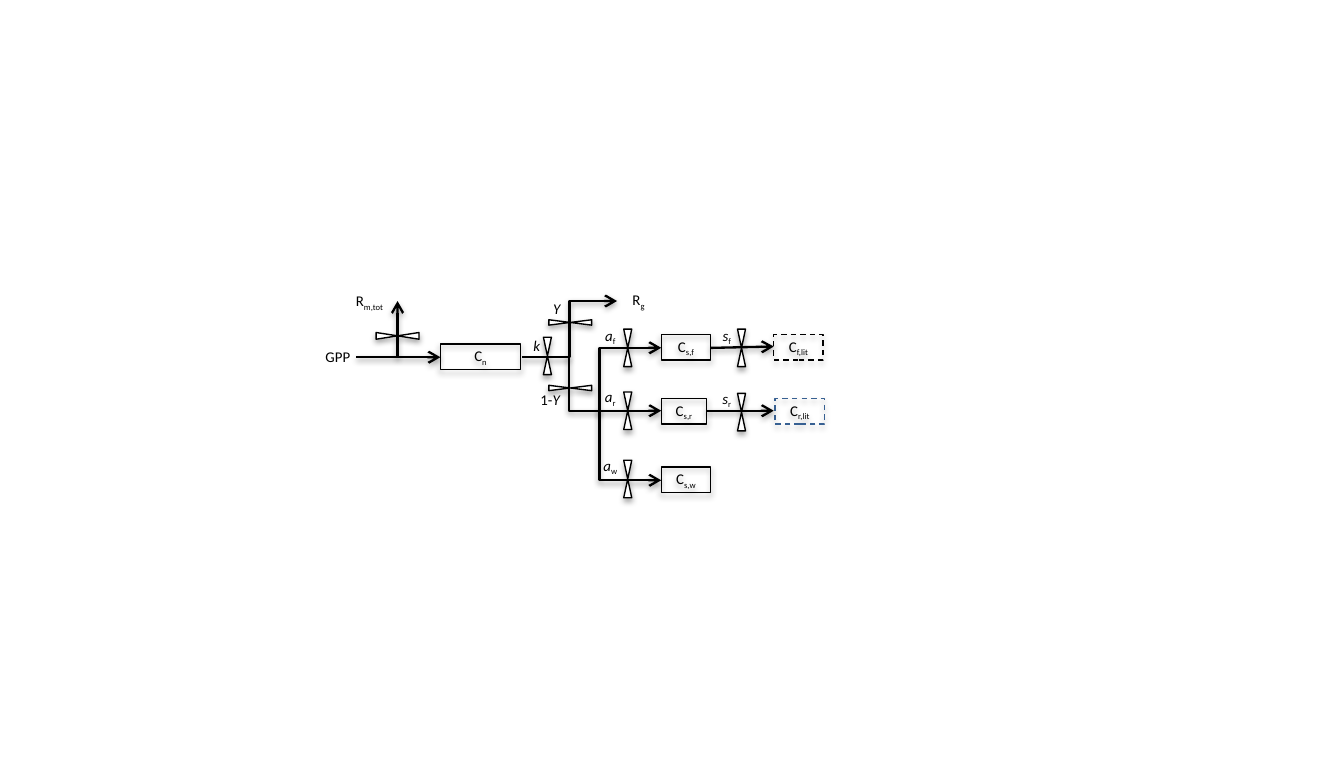
import pptx
import pptx.dml.color
import pptx.enum.dml
import pptx.enum.shapes
import pptx.enum.text
import pptx.oxml
import pptx.oxml.ns
import pptx.util

Inches = pptx.util.Inches
Pt = pptx.util.Pt
SHAPES = pptx.enum.shapes.MSO_SHAPE
CONNECTORS = pptx.enum.shapes.MSO_CONNECTOR
BLACK = "000000"
BLUE = "376092"
POOL_HEIGHT = 0.19


def color(hex_code):
    return pptx.dml.color.RGBColor.from_string(hex_code)


def element(tag, **attributes):
    node = pptx.oxml.parse_xml(f"<a:{tag} {pptx.oxml.ns.nsdecls('a')}/>")
    for key, value in attributes.items():
        node.set(key, str(value))
    return node


def add_shadow(effects, opacity, distance):
    shadow = element("outerShdw", blurRad=Pt(3.1), dist=Pt(distance),
                     dir=5400000, rotWithShape=0)
    tint = element("srgbClr", val=BLACK)
    tint.append(element("alpha", val=opacity * 1000))
    shadow.append(tint)
    effects.append(shadow)


def write(frame, base, subscript="", base_italic=False, subscript_italic=False,
          lowered=True):
    frame.margin_left = frame.margin_right = 0
    frame.margin_top = frame.margin_bottom = 0
    frame.word_wrap = True
    frame.vertical_anchor = pptx.enum.text.MSO_ANCHOR.MIDDLE
    paragraph = frame.paragraphs[0]
    paragraph.alignment = pptx.enum.text.PP_ALIGN.CENTER
    paragraph.font.name = "Calibri"
    paragraph.font.size = Pt(8)
    paragraph.font.color.rgb = color(BLACK)
    symbol = paragraph.add_run()
    symbol.text = base
    symbol.font.italic = base_italic
    if subscript:
        index = paragraph.add_run()
        index.text = subscript
        index.font.italic = subscript_italic
        if lowered:
            index.font._element.set("baseline", "-25000")


def add_label(slide, left, top, width, height, base, *args, **styles):
    label = slide.shapes.add_textbox(Inches(left), Inches(top),
                                     Inches(width), Inches(height))
    write(label.text_frame, base, *args, **styles)


def add_outlined(slide, kind, left, top, width, height, line_color=BLACK):
    outlined = slide.shapes.add_shape(kind, Inches(left), Inches(top),
                                      Inches(width), Inches(height))
    outlined.line.color.rgb = color(line_color)
    outlined.line.width = Pt(0.75)
    outlined.shadow.inherit = False
    add_shadow(outlined._element.spPr.find(pptx.oxml.ns.qn("a:effectLst")), 35, 1.8)
    return outlined


def add_pool(slide, left, top, width, subscript, line_color=BLACK, dashed=False):
    pool = add_outlined(slide, SHAPES.RECTANGLE, left, top, width, POOL_HEIGHT, line_color)
    pool.fill.background()
    if dashed:
        pool.line.dash_style = pptx.enum.dml.MSO_LINE.DASH
    write(pool.text_frame, "C", subscript)


def add_valve(slide, center_x, center_y, width=0.06, height=0.28, rotation=0):
    valve = add_outlined(slide, SHAPES.FLOWCHART_COLLATE, center_x - width / 2,
                         center_y - height / 2, width, height)
    valve.fill.solid()
    valve.fill.fore_color.rgb = color("FFFFFF")
    valve.rotation = rotation


def add_flow(slide, start, end, bend=None):
    kind = CONNECTORS.STRAIGHT if bend is None else CONNECTORS.ELBOW
    flow = slide.shapes.add_connector(kind, *map(Inches, start + end))
    flow.line.color.rgb = color(BLACK)
    flow.line.width = Pt(1.25)
    flow.line._get_or_add_ln().append(element("tailEnd", type="arrow"))
    properties = flow._element.spPr
    if bend is not None:
        adjustments = properties.find(".//" + pptx.oxml.ns.qn("a:avLst"))
        adjustments.append(element("gd", name="adj1", fmla=f"val {round(bend * 100000)}"))
    effects = element("effectLst")
    properties.append(effects)
    add_shadow(effects, 38, 1.6)


def main():
    deck = pptx.Presentation()
    deck.slide_width = Inches(10.04)
    deck.slide_height = Inches(5.71)
    slide = deck.slides.add_slide(deck.slide_layouts[6])

    add_pool(slide, 3.29, 2.57, 0.6, "n")
    for subscript, left, top, width, line_color, dashed in (
            ("s,r", 4.94, 2.98, 0.34, BLACK, False),
            ("s,f", 4.94, 2.5, 0.37, BLACK, False),
            ("s,w", 4.94, 3.49, 0.37, BLACK, False),
            ("f,lit", 5.78, 2.5, 0.37, BLACK, True),
            ("r,lit", 5.79, 2.98, 0.37, BLUE, True)):
        add_pool(slide, left, top, width, subscript, line_color, dashed)

    for start, end, bend in (
            ((2.66, 2.67), (3.29, 2.67), None),
            ((2.97, 2.67), (2.97, 2.25), None),
            ((4.48, 3.06), (4.94, 3.59), 0),
            ((4.48, 3.1), (4.94, 2.6), 0),
            ((5.31, 2.6), (5.78, 2.59), None),
            ((4.23, 2.67), (4.94, 3.07), 0.03),
            ((3.9, 2.67), (4.61, 2.25), 0.5),
            ((5.28, 3.07), (5.78, 3.07), None)):
        add_flow(slide, start, end, bend)

    for center in ((4.09, 2.66), (4.69, 2.6), (4.69, 3.07), (4.69, 3.58),
                   (5.54, 2.6), (5.54, 3.08)):
        add_valve(slide, *center)
    for center_x, center_y, width in ((2.97, 2.51, 0.05), (4.26, 2.41, 0.04),
                                      (4.26, 2.9, 0.04)):
        add_valve(slide, center_x, center_y, width, 0.32, 90)

    add_label(slide, 2.31, 2.57, 0.43, 0.19, "GPP")
    add_label(slide, 2.52, 2.16, 0.48, 0.19, "R", "m,tot")
    add_label(slide, 4.61, 2.15, 0.32, 0.2, "R", "g")
    add_label(slide, 3.88, 2.49, 0.26, 0.19, "k", base_italic=True)
    add_label(slide, 4.03, 2.21, 0.26, 0.19, "Y", base_italic=True)
    add_label(slide, 3.92, 2.9, 0.38, 0.17, "1-", "Y", subscript_italic=True, lowered=False)
    for symbol, subscript, left, top in (
            ("a", "f", 4.41, 2.44), ("a", "r", 4.41, 2.9), ("a", "w", 4.41, 3.41),
            ("s", "f", 5.28, 2.44), ("s", "r", 5.28, 2.91)):
        add_label(slide, left, top, 0.3, 0.15, symbol, subscript, base_italic=True)

    deck.save("out.pptx")


main()
